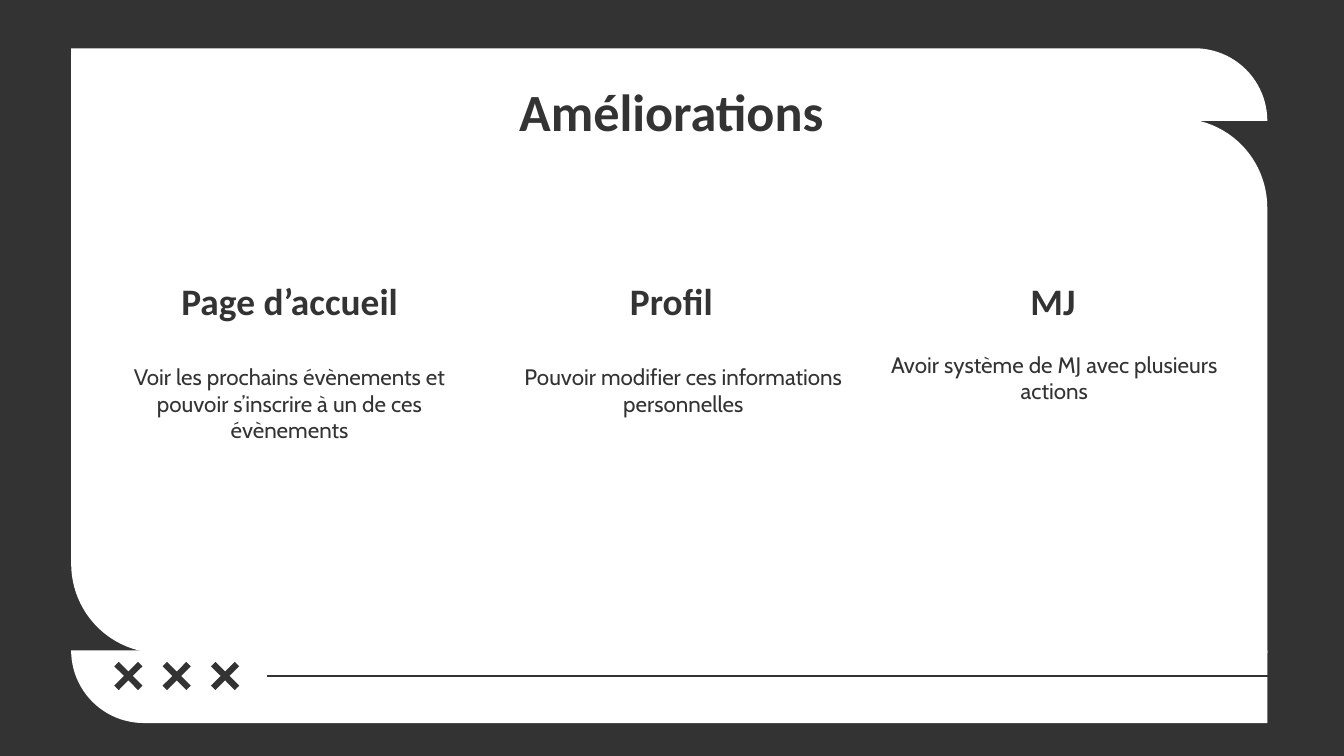
from math import cos, pi, sin

from pptx import Presentation
from pptx.dml.color import RGBColor
from pptx.enum.shapes import MSO_CONNECTOR, MSO_SHAPE
from pptx.enum.text import MSO_ANCHOR, PP_ALIGN
from pptx.oxml.ns import qn
from pptx.util import Inches, Pt

STRAIGHT = MSO_CONNECTOR.STRAIGHT
PANEL_SHAPE, CROSS = MSO_SHAPE.ROUND_2_DIAG_RECTANGLE, MSO_SHAPE.CROSS
TOP, BOTTOM = MSO_ANCHOR.TOP, MSO_ANCHOR.BOTTOM
CENTER = PP_ALIGN.CENTER

# Content: heading, description, and the description's left and top
TITLE = "Améliorations"
COLUMNS = [
    ("Page d’accueil", "Voir les prochains évènements et pouvoir s’inscrire à un de ces évènements", 0.78, 2.6),
    ("Profil", "Pouvoir modifier ces informations personnelles", 3.71, 2.6),
    ("MJ", "Avoir système de MJ avec plusieurs actions", 6.47, 2.51),
]
DARK, WHITE = "333333", "FFFFFF"
HEADING_FONT, BODY_FONT = "Calibri", "Cabin"

# Layout in inches, on a 16:9 slide
SLIDE_W = 10
SLIDE_H = SLIDE_W * 9 / 16
PANEL_LEFT, PANEL_W = 0.53, 8.9
PANEL_TOP, PANEL_H = 0.88, 3.98
BAND_H, TOP_BAND, BOTTOM_BAND = 0.54, 0.36, 4.84
COLUMN_LEFT, COLUMN_STEP, COLUMN_W = 0.78, 2.84, 2.75
CROSS_LEFT, CROSS_STEP, CROSS_SIZE, CROSS_COUNT = 0.83, 0.36, 0.25, 3
RULE_LEFT, RULE_RIGHT, RULE_Y = 1.99, 9.44, 5.03
ARC_STEPS = 24


def color(hex_code):
    return RGBColor.from_string(hex_code)


def paint(shape, hex_code):
    shape.shadow.inherit = False
    shape.fill.solid()
    shape.fill.fore_color.rgb = color(hex_code)
    shape.line.fill.background()


def add_text(slide, text, box, *, size, font, bold=False, anchor=TOP):
    frame = slide.shapes.add_textbox(*map(Inches, box)).text_frame
    frame.word_wrap = True
    frame.vertical_anchor = anchor
    frame.margin_left = frame.margin_right = Inches(0.1)
    frame.margin_top = frame.margin_bottom = Inches(0.1)
    paragraph = frame.paragraphs[0]
    paragraph.alignment = CENTER
    run = paragraph.add_run()
    run.text = text
    run.font.size, run.font.name, run.font.bold = Pt(size), font, bold
    run.font.color.rgb = color(DARK)


def add_band(slide, top, turned=False):
    """White band with a quarter-round top right corner, or its half turn."""
    arc_center = PANEL_W - BAND_H
    angles = [pi / 2 * step / ARC_STEPS for step in range(ARC_STEPS + 1)]
    outline = [(0, 0), (0, BAND_H)]
    outline += [(arc_center + BAND_H * cos(a), BAND_H - BAND_H * sin(a)) for a in angles]
    if turned:
        outline = [(PANEL_W - x, BAND_H - y) for x, y in outline]
    points = [(Inches(PANEL_LEFT + x), Inches(top + y)) for x, y in outline]
    builder = slide.shapes.build_freeform(*points[0])
    builder.add_line_segments(points[1:], close=True)
    paint(builder.convert_to_shape(), WHITE)


deck = Presentation()
deck.slide_width, deck.slide_height = Inches(SLIDE_W), Inches(SLIDE_H)
slide = deck.slides.add_slide(deck.slide_layouts[6])
slide.background.fill.solid()
slide.background.fill.fore_color.rgb = color(DARK)

# White panel between two bands
panel = slide.shapes.add_shape(
    PANEL_SHAPE, *map(Inches, (PANEL_LEFT, PANEL_TOP, PANEL_W, PANEL_H)))
panel.adjustments[0], panel.adjustments[1] = 0, 0.167
paint(panel, WHITE)
add_band(slide, TOP_BAND)
add_band(slide, BOTTOM_BAND, turned=True)

# Title and columns
add_text(slide, TITLE, (0.78, 0.49, 8.43, 0.63), size=28, font=HEADING_FONT, bold=True)
for index, (heading, description, left, top) in enumerate(COLUMNS):
    heading_left = COLUMN_LEFT + index * COLUMN_STEP
    add_text(slide, heading, (heading_left, 2.09, COLUMN_W, 0.41),
             size=20, font=HEADING_FONT, bold=True, anchor=BOTTOM)
    add_text(slide, description, (left, top, COLUMN_W, 0.94), size=12, font=BODY_FONT)

# Footer rule and crosses
rule = slide.shapes.add_connector(
    STRAIGHT, *map(Inches, (RULE_LEFT, RULE_Y, RULE_RIGHT, RULE_Y)))
rule.line.color.rgb = color(DARK)
rule.line.width = Pt(0.75)
properties = rule._element.spPr
properties.append(properties.makeelement(qn("a:effectLst"), {}))

for index in range(CROSS_COUNT):
    cross_left = CROSS_LEFT + index * CROSS_STEP
    cross = slide.shapes.add_shape(
        CROSS, *map(Inches, (cross_left, RULE_Y - CROSS_SIZE / 2, CROSS_SIZE, CROSS_SIZE)))
    cross.adjustments[0] = 0.407
    cross.rotation = 45
    paint(cross, DARK)

deck.save("out.pptx")
